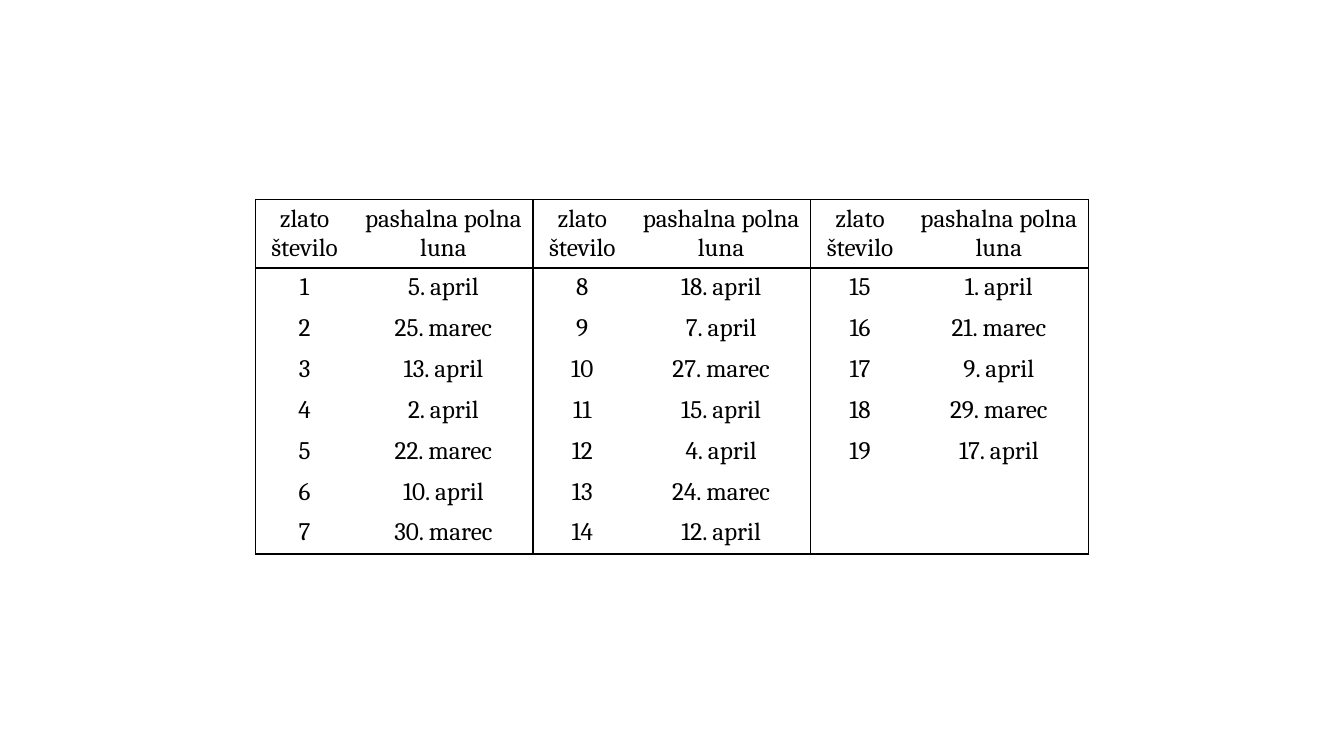
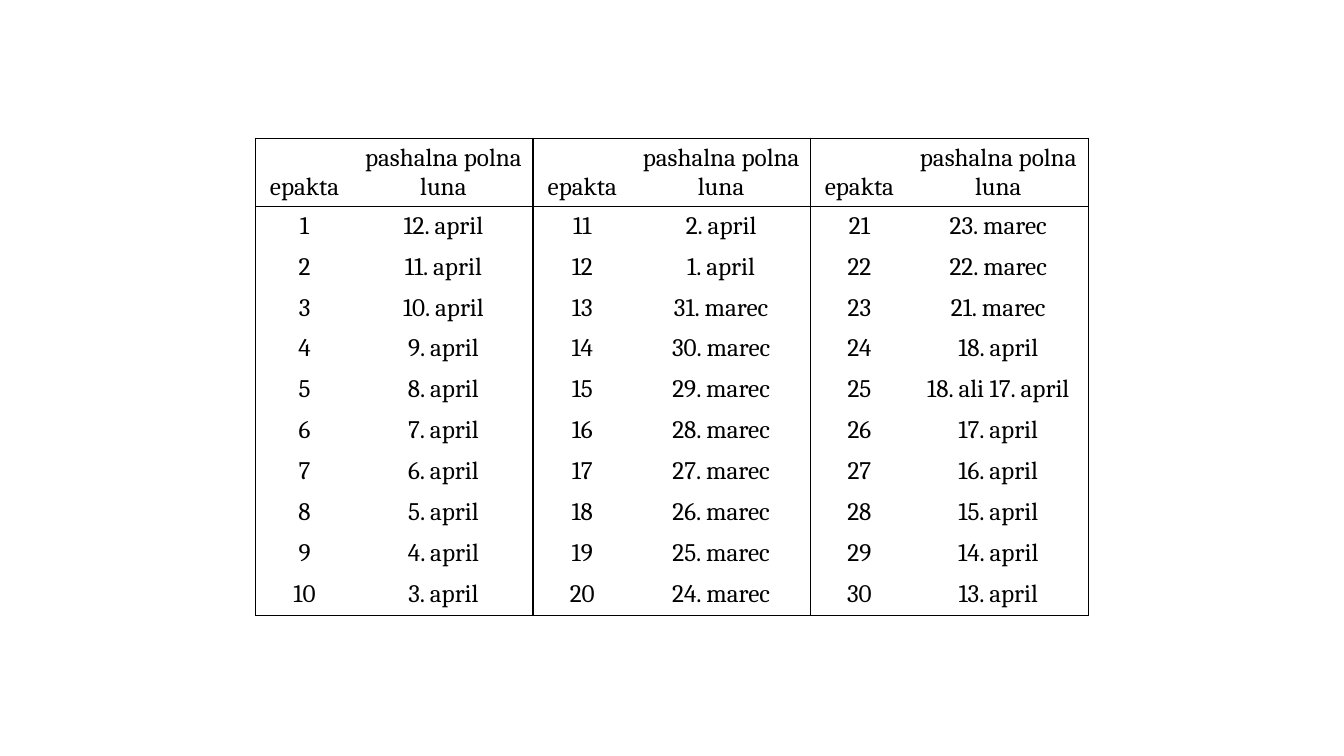
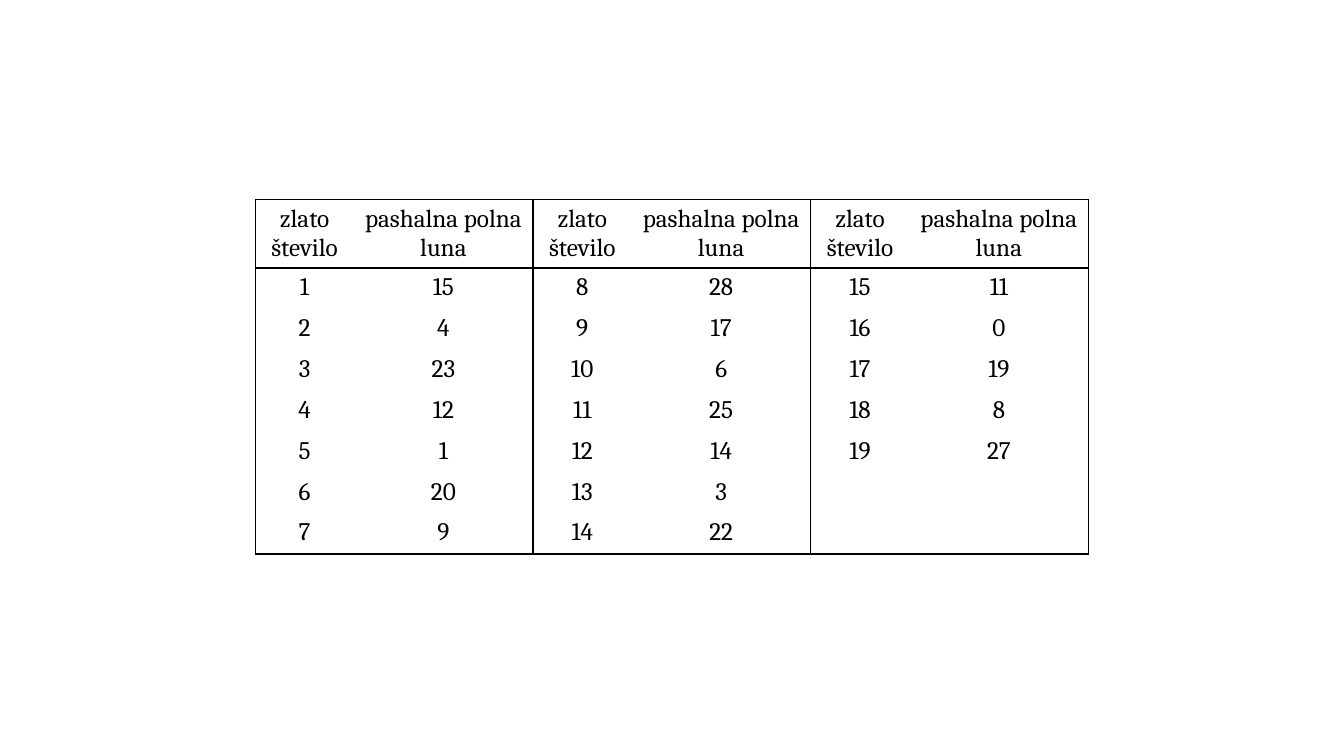
from lxml import etree
from pptx import Presentation
from pptx.dml.color import RGBColor
from pptx.enum.text import MSO_ANCHOR, PP_ALIGN
from pptx.oxml.ns import qn
from pptx.util import Cm, Pt

CENTER = PP_ALIGN.CENTER
TOP, BOTTOM = MSO_ANCHOR.TOP, MSO_ANCHOR.BOTTOM

# Shared style
BLACK = RGBColor(0, 0, 0)
FONT = "Cambria"
FONT_SIZE = Pt(18)
RULE_WIDTH = Pt(1)

# Shared layout, in centimetres
SLIDE_W, SLIDE_H = 33.87, 19.05
PAIRS = 3
PAIR_W = 7
NUMBER_W = 2.48
ROW_H = 1.03
HEADER_EXTRA = 0.75  # second line of the header row

FULL_MOON = "pashalna polna luna"
GOLDEN_NUMBER = "zlato število"

GOLDEN_DATES = [
    "5. april", "25. marec", "13. april", "2. april", "22. marec",
    "10. april", "30. marec", "18. april", "7. april", "27. marec",
    "15. april", "4. april", "24. marec", "12. april", "1. april",
    "21. marec", "9. april", "29. marec", "17. april",
]
EPACT_DATES = [
    "12. april", "11. april", "10. april", "9. april", "8. april",
    "7. april", "6. april", "5. april", "4. april", "3. april",
    "2. april", "1. april", "31. marec", "30. marec", "29. marec",
    "28. marec", "27. marec", "26. marec", "25. marec", "24. marec",
    "23. marec", "22. marec", "21. marec", "18. april", "18. ali 17. april",
    "17. april", "16. april", "15. april", "14. april", "13. april",
]
GOLDEN_VALUES = [15, 4, 23, 12, 1, 20, 9, 28, 17, 6, 25, 14, 3, 22,
                 11, 0, 19, 8, 27]


def set_borders(cell, sides):
    """Rule the given sides (from "LRTB") and clear the others."""
    tcPr = cell._tc.get_or_add_tcPr()
    for side in "LRTB":
        ln = etree.SubElement(tcPr, qn(f"a:ln{side}"), w=str(RULE_WIDTH))
        if side in sides:
            fill = etree.SubElement(ln, qn("a:solidFill"))
            etree.SubElement(fill, qn("a:srgbClr"), val=str(BLACK))
        else:
            etree.SubElement(ln, qn("a:noFill"))


def write_cell(cell, text, anchor):
    cell.vertical_anchor = anchor
    p = cell.text_frame.paragraphs[0]
    p.text = text
    p.alignment = CENTER
    for r in p.runs:
        r.font.name = FONT
        r.font.size = FONT_SIZE
        r.font.color.rgb = BLACK


def build_grid(number_title, values):
    """Header row, then numbered values running down each pair of columns."""
    depth = -(-len(values) // PAIRS)
    grid = [[number_title, FULL_MOON] * PAIRS]
    grid += [[""] * (2 * PAIRS) for _ in range(depth)]
    for i, value in enumerate(values):
        pair, row = divmod(i, depth)
        grid[row + 1][2 * pair:2 * pair + 2] = [str(i + 1), str(value)]
    return grid


def add_moon_slide(prs, number_title, values, last_number_w=NUMBER_W):
    s = prs.slides.add_slide(prs.slide_layouts[6])
    grid = build_grid(number_title, values)
    rows = len(grid)

    # Table centred on the slide
    width = PAIRS * PAIR_W
    height = rows * ROW_H + HEADER_EXTRA
    frame = s.shapes.add_table(
        rows, 2 * PAIRS, Cm((SLIDE_W - width) / 2),
        Cm((SLIDE_H - height) / 2), Cm(width), Cm(height))
    table = frame.table
    table.first_row = table.horz_banding = False

    # Column and row sizes
    for pair in range(PAIRS):
        number_w = last_number_w if pair == PAIRS - 1 else NUMBER_W
        table.columns[2 * pair].width = Cm(number_w)
        table.columns[2 * pair + 1].width = Cm(PAIR_W - number_w)
    for row in table.rows:
        row.height = Cm(ROW_H)
    frame.height = Cm(height)

    # Text and rules
    for y, line in enumerate(grid):
        for x, text in enumerate(line):
            cell = table.cell(y, x)
            write_cell(cell, text, BOTTOM if y == 0 else TOP)
            sides = "R" if x % 2 else "L"
            if y <= 1:
                sides += "T"
            if y in (0, rows - 1):
                sides += "B"
            set_borders(cell, sides)
            cell.fill.background()


def main():
    prs = Presentation()
    prs.slide_width, prs.slide_height = Cm(SLIDE_W), Cm(SLIDE_H)
    add_moon_slide(prs, GOLDEN_NUMBER, GOLDEN_DATES)
    add_moon_slide(prs, "epakta", EPACT_DATES, last_number_w=2.45)
    add_moon_slide(prs, GOLDEN_NUMBER, GOLDEN_VALUES)
    prs.save("out.pptx")


if __name__ == "__main__":
    main()
